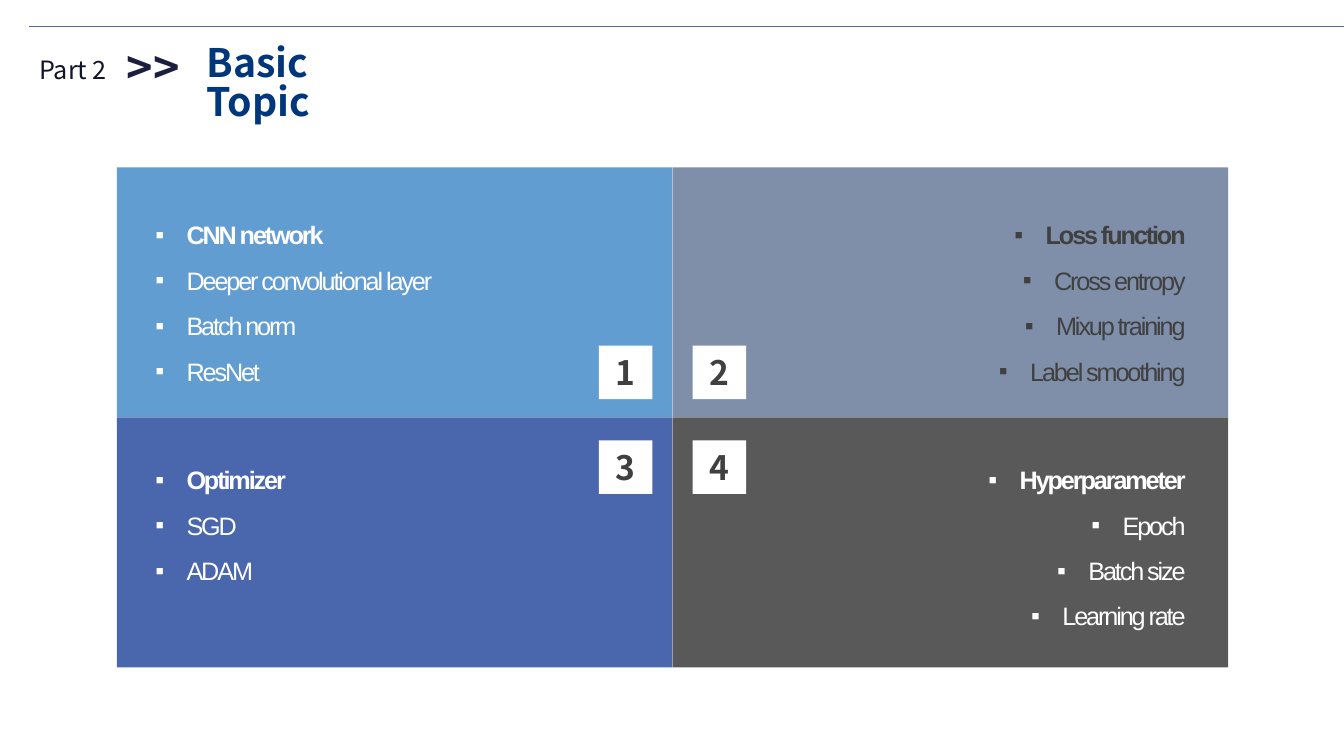
from lxml.etree import SubElement as Sub
from pptx import Presentation
from pptx.dml.color import RGBColor as Rgb
from pptx.enum.shapes import MSO_CONNECTOR as Link, MSO_SHAPE as Kind
from pptx.enum.text import MSO_ANCHOR as Anchor, MSO_AUTO_SIZE as Fit, PP_ALIGN as Align
from pptx.oxml.ns import qn
from pptx.util import Inches, Pt

SANS = "Noto Sans CJK KR"
WIDE, HIGH = 5.51, 2.48
LEFT, TOP = 1.16, 1.66
SIDE = 0.53

QUADS = [
    ("629DD1", "FFFFFF", ["CNN network", "Deeper convolutional layer", "Batch norm", "ResNet"]),
    ("7F8FA9", "404040", ["Loss function", "Cross entropy", "Mixup training", "Label smoothing"]),
    ("4A66AC", "FFFFFF", ["Optimizer", "SGD", "ADAM"]),
    ("595959", "FFFFFF", ["Hyperparameter", "Epoch", "Batch size", "Learning rate"]),
]


def tint(code):
    return Rgb.from_string(code)


def place(shape, x, y, w, h):
    shape.left, shape.top = Inches(x), Inches(y)
    shape.width, shape.height = Inches(w), Inches(h)


def write(para, text, size=18, color="FFFFFF", face=SANS, bold=False,
          align=Align.LEFT, gap=1.0, track=0):
    para.alignment = align
    para.line_spacing = gap
    para.space_before = Pt(0)
    run = para.add_run()
    run.text = text
    font = run.font
    font.name, font.size, font.bold = face, Pt(size), bold
    font.color.rgb = tint(color)
    if track:
        run._r.get_or_add_rPr().set("spc", str(int(track * 100)))


def block(slide, x, y, w, h, fill):
    rect = slide.shapes.add_shape(Kind.RECTANGLE, Inches(x), Inches(y), Inches(w), Inches(h))
    rect.shadow.inherit = False
    rect.fill.solid()
    rect.fill.fore_color.rgb = tint(fill)
    rect.line.fill.background()
    return rect


def dot(para):
    prop = para._p.get_or_add_pPr()
    prop.set("marL", str(Inches(0.31)))
    prop.set("indent", str(-Inches(0.31)))
    Sub(prop, qn("a:buFont")).set("typeface", "Arial")
    Sub(prop, qn("a:buChar")).set("char", "▪")


def label(slide, text, x, y, w, h, **form):
    box = slide.shapes.add_textbox(Inches(x), Inches(y), Inches(w), Inches(h))
    box.text_frame.word_wrap = False
    write(box.text_frame.paragraphs[0], text, **form)


def header(slide, x, y):
    rule = slide.shapes.add_connector(
        Link.STRAIGHT, Inches(x), Inches(y), Inches(13.33), Inches(y))
    rule.line.color.rgb = tint("4A66AC")
    rule.line.width = Pt(0.5)
    Sub(rule._element.spPr, qn("a:effectLst"))
    label(slide, "Part 2", x, y + 0.23, 0.88, 0.4, color="121429")
    label(slide, ">>", x + 0.87, y + 0.08, 0.85, 0.64, size=32, color="1B1E3E", bold=True)
    title = slide.shapes.title
    place(title, x + 1.66, y + 0.15, 1.9, 1.05)
    frame = title.text_frame
    frame.auto_size, frame.vertical_anchor = Fit.NONE, Anchor.TOP
    write(frame.paragraphs[0], "Basic Topic", size=28, color="00377A", bold=True, gap=0.83)


def badge(slide, text, x, y):
    box = block(slide, x, y, SIDE, SIDE, "FFFFFF")
    frame = box.text_frame
    frame.margin_left = frame.margin_right = frame.margin_top = frame.margin_bottom = 0
    frame.vertical_anchor = Anchor.MIDDLE
    frame.word_wrap = False
    write(frame.paragraphs[0], text, size=24, color="404040", bold=True, align=Align.CENTER)


def topics(slide, body, items, color, align, x, y, w):
    slide.shapes._spTree.append(body._element)
    place(body, x, y, w, 0.06 + 0.45 * len(items))
    frame = body.text_frame
    frame.auto_size, frame.vertical_anchor = Fit.NONE, Anchor.TOP
    frame.word_wrap = True
    for i, item in enumerate(items):
        para = frame.add_paragraph() if i else frame.paragraphs[0]
        dot(para)
        write(para, item, color=color, face="Arial", bold=i == 0,
              align=align, gap=1.5, track=-1.5)


def quad(slide, body, num, x, y, fill, color, items):
    row, col = divmod(num, 2)
    block(slide, x, y, WIDE, HIGH, fill)
    badge(slide, str(num + 1),
          x + (0.2 if col else WIDE - 0.2 - SIDE),
          y + (0.23 if row else HIGH - 0.18 - SIDE))
    wide = 3.38
    topics(slide, body, items, color, Align.RIGHT if col else Align.LEFT,
           x + (WIDE - 0.32 - wide if col else 0.28),
           y + (0.27 if row else 0.32), wide)


def main():
    deck = Presentation()
    deck.slide_width, deck.slide_height = Inches(13.33), Inches(7.5)
    slide = deck.slides.add_slide(deck.slide_layouts.get_by_name("Comparison"))
    bodies = list(slide.placeholders)[1:]
    header(slide, 0.29, 0.26)
    for num, (body, part) in enumerate(zip(bodies, QUADS)):
        row, col = divmod(num, 2)
        quad(slide, body, num, LEFT + col * WIDE, TOP + row * HIGH, *part)
    deck.save("out.pptx")


if __name__ == "__main__":
    main()
